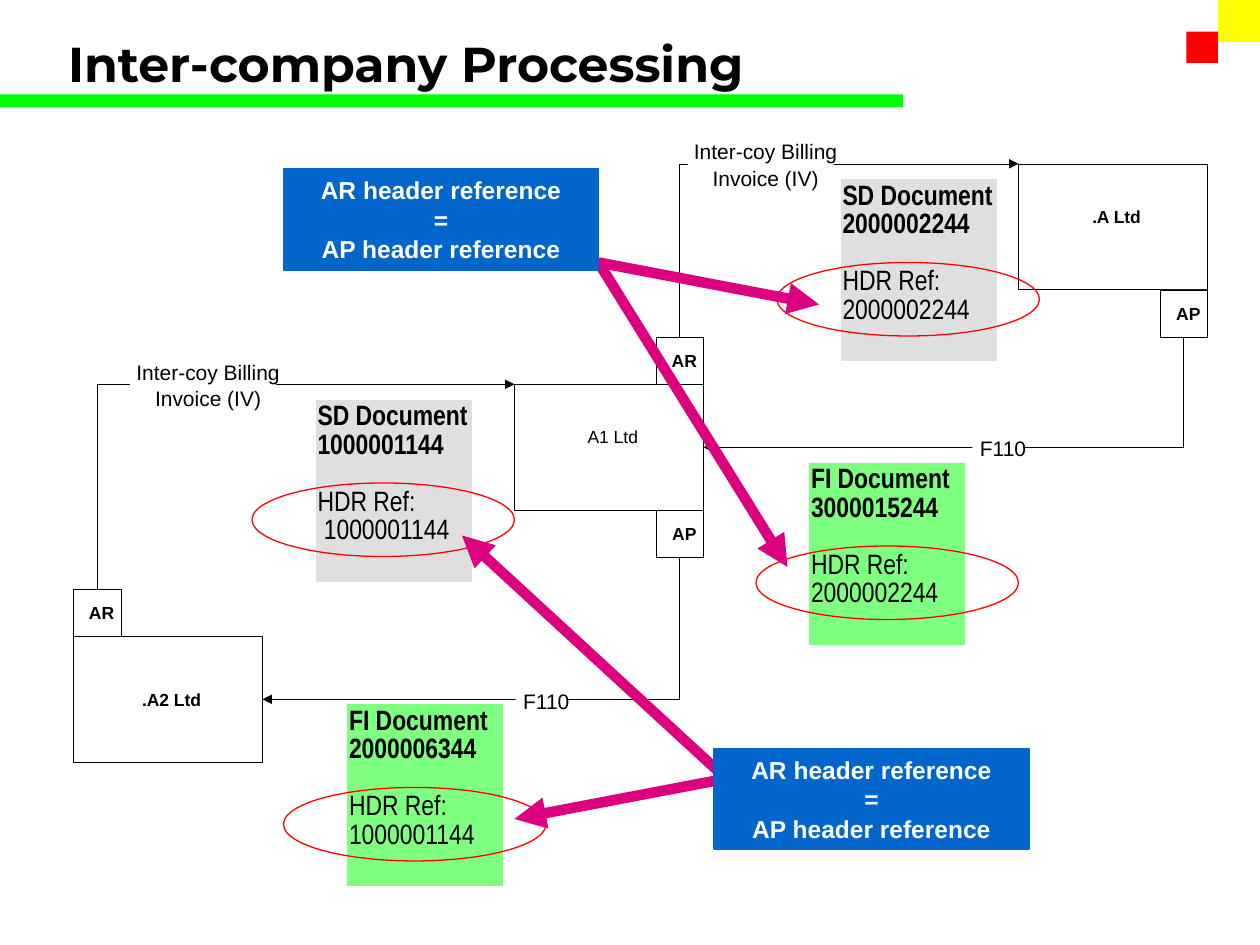
from lxml.etree import SubElement
from pptx import Presentation
from pptx.dml.color import RGBColor
from pptx.enum.shapes import MSO_CONNECTOR as Connector, MSO_SHAPE as Shape
from pptx.enum.text import MSO_ANCHOR as Anchor, PP_ALIGN as Align
from pptx.oxml.ns import qn
from pptx.util import Inches, Pt

COLUMNS, ROWS = 120, 90
CELL = Inches(10) / COLUMNS
TAG = 4.5


def grid(*cells):
    """Turn grid cells into slide lengths."""
    return [round(cell * CELL) for cell in cells]


def rgb(color):
    """Return the colour for a hex string."""
    return RGBColor.from_string(color)


def paint(shape, fill=None, line=None, width=0.25, opacity=None):
    """Set fill, outline and transparency, without a shadow."""
    shape.shadow.inherit = False
    if fill:
        shape.fill.solid()
        shape.fill.fore_color.rgb = rgb(fill)
        if opacity:
            color = shape._element.spPr.find(qn("a:solidFill"))[0]
            SubElement(color, qn("a:alpha"), val=str(opacity * 1000))
    else:
        shape.fill.background()
    if line:
        shape.line.color.rgb = rgb(line)
        shape.line.width = Pt(width)
    else:
        shape.line.fill.background()
    return shape


def add_box(slide, box, kind=Shape.RECTANGLE, **style):
    """Add a painted preset shape on the grid."""
    return paint(slide.shapes.add_shape(kind, *grid(*box)), **style)


def write(shape, lines, size=12, font="Arial", color="000000", bold=False, align=Align.CENTER,
          anchor=Anchor.MIDDLE, insets=(0, 0, 0, 0), wrap=False, rtl=False, spacing=None):
    """Write lines as paragraphs and return the paragraphs."""
    frame = shape.text_frame
    frame.word_wrap, frame.vertical_anchor = wrap, anchor
    frame.margin_left, frame.margin_top, frame.margin_right, frame.margin_bottom = map(Inches, insets)
    for index, line in enumerate(lines):
        paragraph = frame.add_paragraph() if index else frame.paragraphs[0]
        paragraph.alignment = align
        if spacing:
            paragraph.line_spacing = spacing
        if rtl:
            paragraph._p.get_or_add_pPr().set("rtl", "1")
        run = paragraph.add_run()
        run.text = line
        run.font.size, run.font.name, run.font.bold = Pt(size), font, bold
        run.font.color.rgb = rgb(color)
    return frame.paragraphs


def add_outline(slide, points, closed, **style):
    """Add a freeform through grid points."""
    start, *rest = [grid(*point) for point in points]
    builder = slide.shapes.build_freeform(*start, scale=1.0)
    builder.add_line_segments(rest, close=closed)
    return paint(builder.convert_to_shape(), **style)


def add_header(slide, title):
    """Add the title, its rule and the corner squares."""
    add_box(slide, (0, 9, 86, 1.2), fill="00FF00")
    add_box(slide, (116, 0, 4, 4), fill="FFFF00")
    add_box(slide, (113, 3, 3, 3), fill="FF0000")
    text_box = slide.shapes.add_textbox(*grid(5.3, 3, 110.7, 6))
    write(text_box, [title], size=28, font="Montserrat", bold=True, align=Align.LEFT,
          insets=(0.1, 0.05, 0.1, 0.05), wrap=True)


def add_flow(slide, start, tip, label, label_corner):
    """Add a bent flow line with an arrowhead and a label over it."""
    (x, y), (tip_x, tip_y) = start, tip
    back = tip_x - (0.9 if tip_x > x else -0.9)
    add_outline(slide, [(x, y), (x, tip_y), (back, tip_y)], False, line="000000")
    add_outline(slide, [tip, (back, tip_y - 0.45), (back, tip_y + 0.45)], True, fill="000000")
    size = (13.9, 5) if len(label) > 1 else (4.9, 2.6)
    mask = add_box(slide, (*label_corner, *size), fill="FFFFFF")
    paragraphs = write(mask, label, anchor=Anchor.TOP, insets=(0.08, 0.02, 0, 0))
    for paragraph in paragraphs[1:]:
        paragraph.space_before = Pt(0.5)


def add_company(slide, box, name, tags, bold=True, lift=0.17):
    """Add a company box with its ledger tags."""
    frame = add_box(slide, box, fill="FFFFFF", line="000000")
    write(frame, [name], size=10, bold=bold, insets=(0.06, 0, 0, lift), rtl=True)
    left, top, width, height = box
    for ledger, at_right in tags:
        tag_left = left + (width - TAG if at_right else 0)
        tag_top = top - TAG if ledger == "AR" else top + height
        tag = add_box(slide, (tag_left, tag_top, TAG, TAG), fill="FFFFFF", line="000000")
        write(tag, [ledger], size=10, bold=True, insets=(0.07, 0, 0, 0))


def add_document(slide, corner, kind, number, reference, fill, ring_shift=-6, indent=0):
    """Add a document card with its reference ringed."""
    left, top = corner
    card = add_box(slide, (left, top, 15, 17.5), fill=fill, line="FFFFFF", width=1, opacity=50)
    paragraphs = write(card, [f"{kind} Document", number, "HDR Ref:", reference], size=16,
                       font="Arial Narrow", bold=True, align=Align.LEFT, anchor=Anchor.TOP,
                       insets=(0.02, 0.03, 0.02, 0.03), spacing=0.85)
    for paragraph in paragraphs[2:]:
        paragraph.runs[0].font.bold = False
    paragraphs[2].space_before = Pt(16.3)
    paragraphs[3]._p.get_or_add_pPr().set("marL", str(Inches(indent)))
    add_box(slide, (left + ring_shift, top + 8, 25, 7), Shape.OVAL, line="FF0000", width=0.75)


def add_pointer(slide, start, end):
    """Add a thick arrow from a callout to a reference."""
    line = slide.shapes.add_connector(Connector.STRAIGHT, *grid(*start, *end))
    line.line.color.rgb, line.line.width = rgb("DC0081"), Pt(6)
    SubElement(line.line._get_or_add_ln(), qn("a:tailEnd"), type="triangle")
    SubElement(line._element.spPr, qn("a:effectLst"))


def add_callout(slide, corner):
    """Add a callout stating the matching rule."""
    box = add_box(slide, (*corner, 30, 9.6), fill="0066CC", line="0066CC", width=1)
    write(box, ["AR header reference", "=", "AP header reference"], size=14, color="FFFFFF",
          bold=True, insets=(0.1, 0.05, 0.1, 0.05), wrap=True)


def main():
    """Build and save the slide."""
    presentation = Presentation()
    presentation.slide_width, presentation.slide_height = grid(COLUMNS, ROWS)
    slide = presentation.slides.add_slide(presentation.slide_layouts[6])
    add_header(slide, "Inter-company Processing")

    add_company(slide, (7, 60.6, 18, 12), "A2 Ltd.", [("AR", False)], lift=0)
    add_company(slide, (97, 15.6, 18, 12), "A Ltd.", [("AP", True)])
    add_company(slide, (49, 36.6, 18, 12), "A1 Ltd", [("AR", True), ("AP", True)], bold=False)

    billing, payment = ["Inter-coy Billing", "Invoice (IV)"], ["F110"]
    add_flow(slide, (64.7, 53.1), (25, 66.6), payment, (49.1, 65.3))
    add_flow(slide, (64.7, 32.1), (97, 15.6), billing, (65.5, 13))
    add_flow(slide, (9.25, 56.1), (49, 36.6), billing, (12.4, 34))
    add_flow(slide, (112.7, 32.1), (67, 42.6), payment, (92.6, 41.2))

    gray, green = "C0C0C0", "00FF00"
    add_document(slide, (30, 38), "SD", "1000001144", "1000001144", gray, indent=0.05)
    add_document(slide, (80, 17), "SD", "2000002244", "2000002244", gray)
    add_document(slide, (77, 44), "FI", "3000015244", "2000002244", green, ring_shift=-5)
    add_document(slide, (33, 67), "FI", "2000006344", "1000001144", green)

    add_pointer(slide, (57, 25), (75, 54))
    add_pointer(slide, (57, 25), (78, 29))
    add_pointer(slide, (70, 74), (49, 78))
    add_pointer(slide, (69, 74), (44, 51))
    for corner in ((68, 71.3), (27, 16.1)):
        add_callout(slide, corner)
    presentation.save("out.pptx")


if __name__ == "__main__":
    main()
